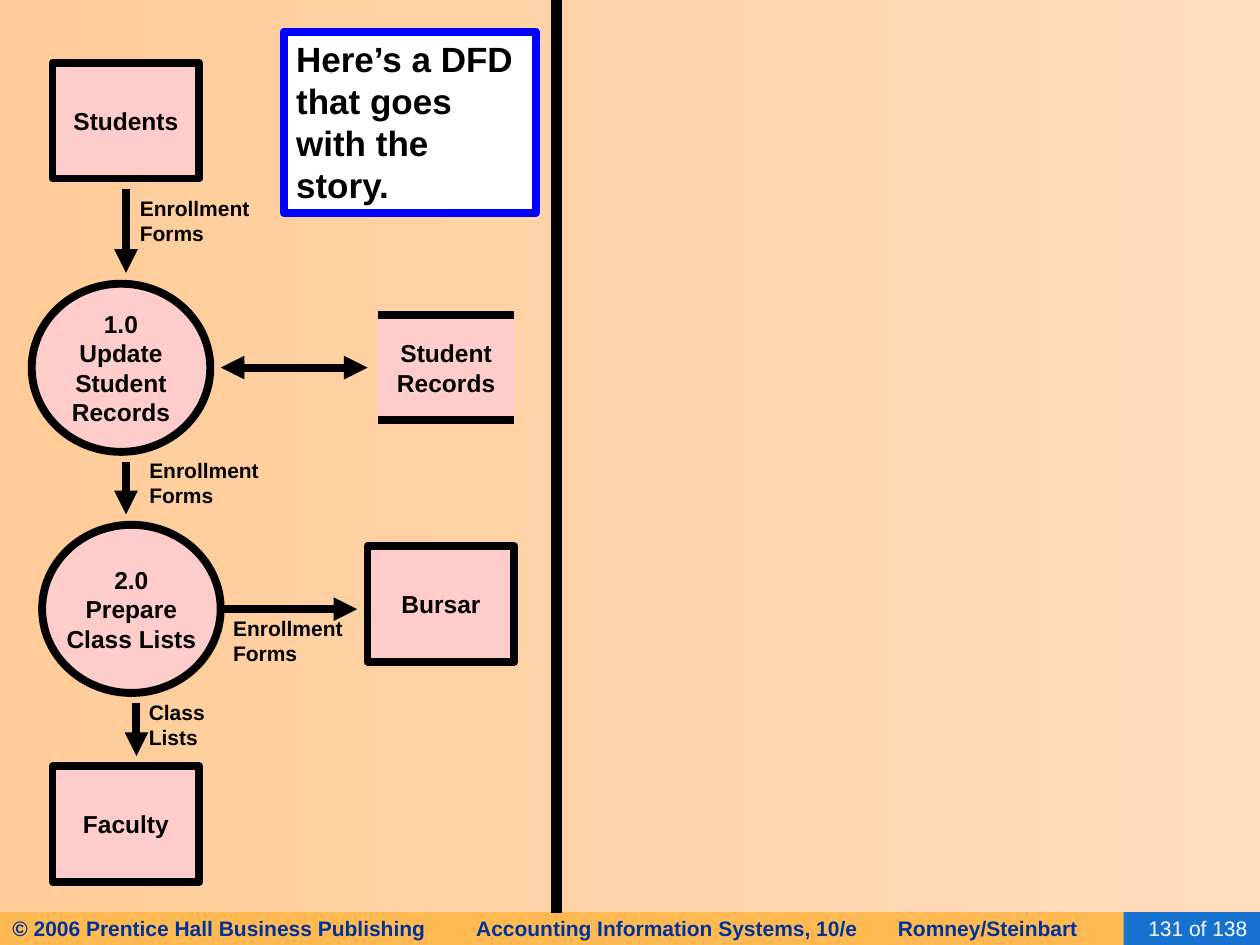
import pptx
import pptx.util
import pptx.dml.color
import pptx.enum.shapes
import pptx.enum.text
import pptx.oxml.ns
from lxml import etree

Cm = pptx.util.Cm
Pt = pptx.util.Pt
SHAPE = pptx.enum.shapes.MSO_SHAPE
ALIGN = pptx.enum.text.PP_ALIGN
ANCHOR = pptx.enum.text.MSO_ANCHOR
qn = pptx.oxml.ns.qn

COLORS = {
    "black": "000000", "white": "FFFFFF", "pink": "FFCCCC", "blue": "0000FF",
    "navy": "003399", "footer": "FFB953", "page": "1672CE",
    "bg_light": "FFDDBB", "bg_dark": "FFCC99",
}


def rgb(name):
    return pptx.dml.color.RGBColor.from_string(COLORS[name])


class Diagram:
    font = "Arial"
    line_width = 4.5

    def __init__(self, slide):
        self.s = slide

    def background(self, start, end):
        fill = self.s.background.fill
        fill.gradient()
        fill.gradient_angle = 180
        for stop, color in zip(fill.gradient_stops, (start, end)):
            stop.color.rgb = rgb(color)

    def text(self, sp, text, size, color="black", bold=True, align=ALIGN.LEFT,
             anchor=ANCHOR.MIDDLE, wrap=True, tabs=()):
        tf = sp.text_frame
        tf.text = text
        tf.word_wrap = wrap
        tf.vertical_anchor = anchor
        for p in tf.paragraphs:
            p.alignment = align
            if tabs:
                tab_list = etree.SubElement(p._p.get_or_add_pPr(), qn("a:tabLst"))
                for pos in tabs:
                    etree.SubElement(tab_list, qn("a:tab"), pos=str(Cm(pos)), algn="l")
            for r in p.runs:
                r.font.name = self.font
                r.font.size = Pt(size)
                r.font.bold = bold
                r.font.color.rgb = rgb(color)

    def box(self, kind, x, y, w, h, fill, line=None):
        sp = self.s.shapes.add_shape(kind, Cm(x), Cm(y), Cm(w), Cm(h))
        sp.shadow.inherit = False
        sp.fill.solid()
        sp.fill.fore_color.rgb = rgb(fill)
        if line:
            sp.line.color.rgb = rgb(line)
            sp.line.width = Pt(self.line_width)
        else:
            sp.line.fill.background()
        return sp

    def node(self, kind, x, y, w, h, text, line="black"):
        sp = self.box(kind, x, y, w, h, "pink", line)
        self.text(sp, text, 14, align=ALIGN.CENTER, wrap=False)

    def entity(self, x, y, text):
        self.node(SHAPE.RECTANGLE, x, y, 2.96, 2.33, text)

    def process(self, x, y, text):
        self.node(SHAPE.OVAL, x, y, 3.6, 3.39, text)

    def store(self, x, y, w, h, text):
        self.node(SHAPE.RECTANGLE, x, y, w, h, text, line=None)
        for edge in (y, y + h):
            self.line(x, edge, x + w, edge)

    def line(self, x1, y1, x2, y2, width=line_width, ends=()):
        c = self.s.shapes.add_connector(
            pptx.enum.shapes.MSO_CONNECTOR.STRAIGHT, Cm(x1), Cm(y1), Cm(x2), Cm(y2))
        c.line.color.rgb = rgb("black")
        c.line.width = Pt(width)
        ln = c.line._get_or_add_ln()
        for end in ends:
            etree.SubElement(ln, qn("a:" + end), type="triangle")
        etree.SubElement(c._element.spPr, qn("a:effectLst"))

    def label(self, x, y, w, text):
        sp = self.s.shapes.add_textbox(Cm(x), Cm(y), Cm(w), Cm(1.27))
        self.text(sp, text, 12, anchor=ANCHOR.TOP, wrap=False)

    def note(self, x, y, w, h, text):
        sp = self.box(SHAPE.RECTANGLE, x, y, w, h, "white", "blue")
        self.text(sp, text, 20, anchor=ANCHOR.TOP)

    def footer(self, text, page):
        y, h = 18.39, 0.66
        sp = self.box(SHAPE.RECTANGLE, 0, y, 23.5, h, "footer")
        self.text(sp, text, 12, "navy", tabs=(9.35, 17.85))
        sp = self.box(SHAPE.RECTANGLE, 22.65, y, 2.75, h, "page")
        self.text(sp, page, 12, "white", bold=False, align=ALIGN.RIGHT)


def main():
    prs = pptx.Presentation()
    prs.slide_width, prs.slide_height = Cm(25.4), Cm(19.05)
    d = Diagram(prs.slides.add_slide(prs.slide_layouts[6]))

    d.background("bg_light", "bg_dark")
    d.footer("© 2006 Prentice Hall Business Publishing\t"
             "Accounting Information Systems, 10/e\tRomney/Steinbart", "131 of 138")
    d.line(11.22, 0, 11.22, 18.41, width=6)

    d.entity(1.06, 1.27, "Students")
    d.process(0.64, 5.72, "1.0\nUpdate\nStudent\nRecords")
    d.process(0.85, 10.58, "2.0\nPrepare\nClass Lists")
    d.store(7.62, 6.35, 2.75, 2.12, "Student\nRecords")
    d.entity(1.06, 15.45, "Faculty")
    d.entity(7.41, 11.01, "Bursar")

    d.line(4.45, 7.41, 7.41, 7.41, ends=("headEnd", "tailEnd"))
    for flow in ((2.54, 3.81, 2.54, 5.5), (2.54, 9.31, 2.54, 10.37),
                 (2.75, 14.18, 2.75, 15.24), (4.45, 12.28, 7.2, 12.28)):
        d.line(*flow, ends=("tailEnd",))

    for x, y in ((2.57, 3.81), (2.76, 9.1), (4.45, 12.28)):
        d.label(x, y, 2.72, "Enrollment\nForms")
    d.label(2.75, 13.97, 1.63, "Class\nLists")
    d.note(5.72, 0.64, 5.08, 3.66, "Here’s a DFD that goes with the story.")

    prs.save("out.pptx")


if __name__ == "__main__":
    main()
